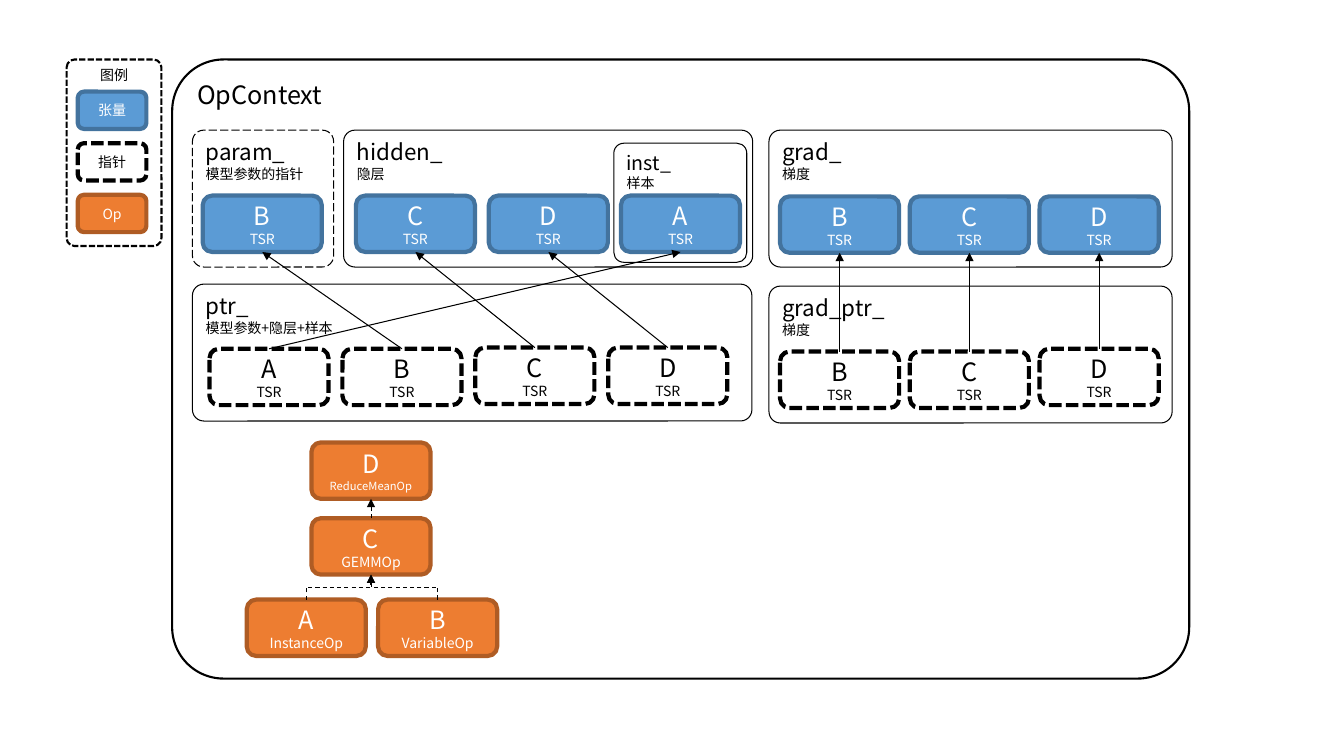
import dataclasses

import pptx
import pptx.dml.color
import pptx.enum.dml
import pptx.enum.shapes
import pptx.enum.text
import pptx.oxml
import pptx.oxml.ns
import pptx.util
from pptx.util import Cm

DASH = pptx.enum.dml.MSO_LINE_DASH_STYLE
ALIGN = pptx.enum.text.PP_ALIGN
ANCHOR = pptx.enum.text.MSO_ANCHOR
CONNECTOR = pptx.enum.shapes.MSO_CONNECTOR


@dataclasses.dataclass(frozen=True)
class Theme:
    font: str = "Noto Sans CJK SC"
    ink: str = "000000"
    paper: str = "FFFFFF"
    blue: str = "5B9BD5"
    blue_edge: str = "43739E"
    orange: str = "ED7D31"
    orange_edge: str = "AF5C24"
    title: int = 18
    heading: int = 16
    subheading: int = 14
    label: int = 10
    small: int = 8
    thin: float = 0.75
    medium: float = 1.5
    thick: float = 3
    panel_corner: float = 0.083

    def look(self, kind):
        """Fill, edge, text colour and dash of a kind of block."""
        return {
            "tensor": (self.blue, self.blue_edge, self.paper, None),
            "pointer": (self.paper, self.ink, self.ink, DASH.SQUARE_DOT),
            "op": (self.orange, self.orange_edge, self.paper, None),
        }[kind]


def rgb(value):
    return pptx.dml.color.RGBColor.from_string(value)


class Diagram:
    block_width, block_height = 3, 1.42

    def __init__(self, slide, theme):
        self.slide = slide
        self.theme = theme

    def set_text(self, shape, lines, color, align, anchor):
        frame = shape.text_frame
        frame.word_wrap = True
        frame.vertical_anchor = anchor
        for index, (text, size) in enumerate(lines):
            paragraph = frame.add_paragraph() if index else frame.paragraphs[0]
            paragraph.text = text
            paragraph.alignment = align
            font = paragraph.font
            font.size = pptx.util.Pt(size)
            font.name = self.theme.font
            font.color.rgb = rgb(color)
            # East Asian typeface
            defaults = paragraph._p.pPr.find(pptx.oxml.ns.qn("a:defRPr"))
            east_asian = pptx.oxml.parse_xml(
                f'<a:ea {pptx.oxml.ns.nsdecls("a")} typeface="{self.theme.font}"/>')
            defaults.append(east_asian)

    def stroke(self, line, color, width, dash=None):
        line.color.rgb = rgb(color)
        line.width = pptx.util.Pt(width)
        if dash is not None:
            line.dash_style = dash

    def rounded(self, left, top, width, height):
        shape = self.slide.shapes.add_shape(
            pptx.enum.shapes.MSO_SHAPE.ROUNDED_RECTANGLE,
            Cm(left), Cm(top), Cm(width), Cm(height))
        shape.shadow.inherit = False
        return shape

    def panel(self, box, lines, width=None, dash=None, align=ALIGN.LEFT):
        shape = self.rounded(*box)
        shape.adjustments[0] = self.theme.panel_corner
        shape.fill.background()
        self.stroke(shape.line, self.theme.ink, width or self.theme.thin, dash)
        self.set_text(shape, lines, self.theme.ink, align, ANCHOR.TOP)

    def block(self, kind, left, top, lines, width=block_width, height=block_height):
        fill, edge, text_color, dash = self.theme.look(kind)
        shape = self.rounded(left, top, width, height)
        shape.fill.solid()
        shape.fill.fore_color.rgb = rgb(fill)
        self.stroke(shape.line, edge, self.theme.thick, dash)
        self.set_text(shape, lines, text_color, ALIGN.CENTER, ANCHOR.MIDDLE)
        return shape

    def node(self, kind, left, top, letter, caption="TSR", size=None):
        lines = [(letter, self.theme.title), (caption, size or self.theme.label)]
        return self.block(kind, left, top, lines)

    def arrow(self, source, target, dash=None, elbow=False):
        """Arrow from the top of source up to the bottom of target."""
        start_x, start_y = source.left + source.width // 2, source.top
        end_x, end_y = target.left + target.width // 2, target.top + target.height
        if elbow:
            # An elbow leaves sideways, so lay it flat and turn it upwards
            middle_x, middle_y = (start_x + end_x) // 2, (start_y + end_y) // 2
            rise, run = (start_y - end_y) // 2, (end_x - start_x) // 2
            connector = self.slide.shapes.add_connector(
                CONNECTOR.ELBOW, middle_x - rise, middle_y - run,
                middle_x + rise, middle_y + run)
            transform = connector._element.spPr.find(pptx.oxml.ns.qn("a:xfrm"))
            transform.set("rot", str(270 * 60000))
        else:
            connector = self.slide.shapes.add_connector(
                CONNECTOR.STRAIGHT, start_x, start_y, end_x, end_y)
            connector.begin_connect(source, 0)
            connector.end_connect(target, 2)
        self.stroke(connector.line, self.theme.ink, self.theme.thin, dash)
        namespace = pptx.oxml.ns.nsdecls("a")
        properties = connector._element.spPr
        properties.find(pptx.oxml.ns.qn("a:ln")).append(
            pptx.oxml.parse_xml(f'<a:tailEnd {namespace} type="triangle"/>'))
        properties.append(pptx.oxml.parse_xml(f"<a:effectLst {namespace}/>"))


presentation = pptx.Presentation()
presentation.slide_width = Cm(33.87)
presentation.slide_height = Cm(19.05)
slide = presentation.slides.add_slide(presentation.slide_layouts[6])
theme = Theme()
diagram = Diagram(slide, theme)

# Context frame and its panels
diagram.panel((4.34, 1.5, 25.63, 15.6), [("OpContext", theme.title)], theme.medium)
for name, caption, size, box, dash in [
    ("hidden_", "隐层", theme.heading, (8.66, 3.28, 10.31, 3.45), None),
    ("inst_", "样本", theme.subheading, (15.47, 3.61, 3.35, 3), None),
    ("ptr_", "模型参数+隐层+样本", theme.heading, (4.85, 7.16, 14.1, 3.45), None),
    ("param_", "模型参数的指针", theme.heading, (4.85, 3.28, 3.56, 3.45), DASH.LONG_DASH),
    ("grad_", "梯度", theme.heading, (19.38, 3.28, 10.16, 3.45), None),
    ("grad_ptr_", "梯度", theme.heading, (19.38, 7.21, 10.16, 3.45), None),
]:
    diagram.panel(box, [(name, size), (caption, theme.label)], dash=dash)

# Legend
diagram.panel((1.68, 1.5, 2.39, 4.7), [("图例", theme.label)],
              theme.medium, DASH.SQUARE_DOT, ALIGN.CENTER)
for row, (kind, text) in enumerate([("tensor", "张量"), ("pointer", "指针"), ("op", "Op")]):
    diagram.block(kind, 1.96, 2.31 + 1.3 * row, [(text, theme.label)], 1.73, 0.94)

# Tensors and the pointers to them
tensor_lefts = {"A": 15.65, "B": 5.11, "C": 8.97, "D": 12.32}
pointer_tops = {"A": 8.79, "B": 8.79, "C": 8.76, "D": 8.76}
for column, (letter, left) in enumerate(tensor_lefts.items()):
    tensor = diagram.node("tensor", left, 4.93, letter)
    pointer = diagram.node("pointer", 5.28 + 3.35 * column, pointer_tops[letter], letter)
    diagram.arrow(pointer, tensor)

# Gradients and the pointers to them
for column, (letter, top) in enumerate({"B": 8.86, "C": 8.86, "D": 8.79}.items()):
    left = 19.66 + 3.27 * column
    gradient = diagram.node("tensor", left, 4.95, letter)
    pointer = diagram.node("pointer", left, top, letter)
    diagram.arrow(pointer, gradient)

# Operator graph
reduce_mean = diagram.node("op", 7.85, 11.15, "D", "ReduceMeanOp", theme.small)
gemm = diagram.node("op", 7.85, 13.06, "C", "GEMMOp")
instance = diagram.node("op", 6.22, 15.11, "A", "InstanceOp")
variable = diagram.node("op", 9.53, 15.11, "B", "VariableOp")
diagram.arrow(gemm, reduce_mean, DASH.DASH)
for operand in (instance, variable):
    diagram.arrow(operand, gemm, DASH.DASH, elbow=True)

presentation.save("out.pptx")
